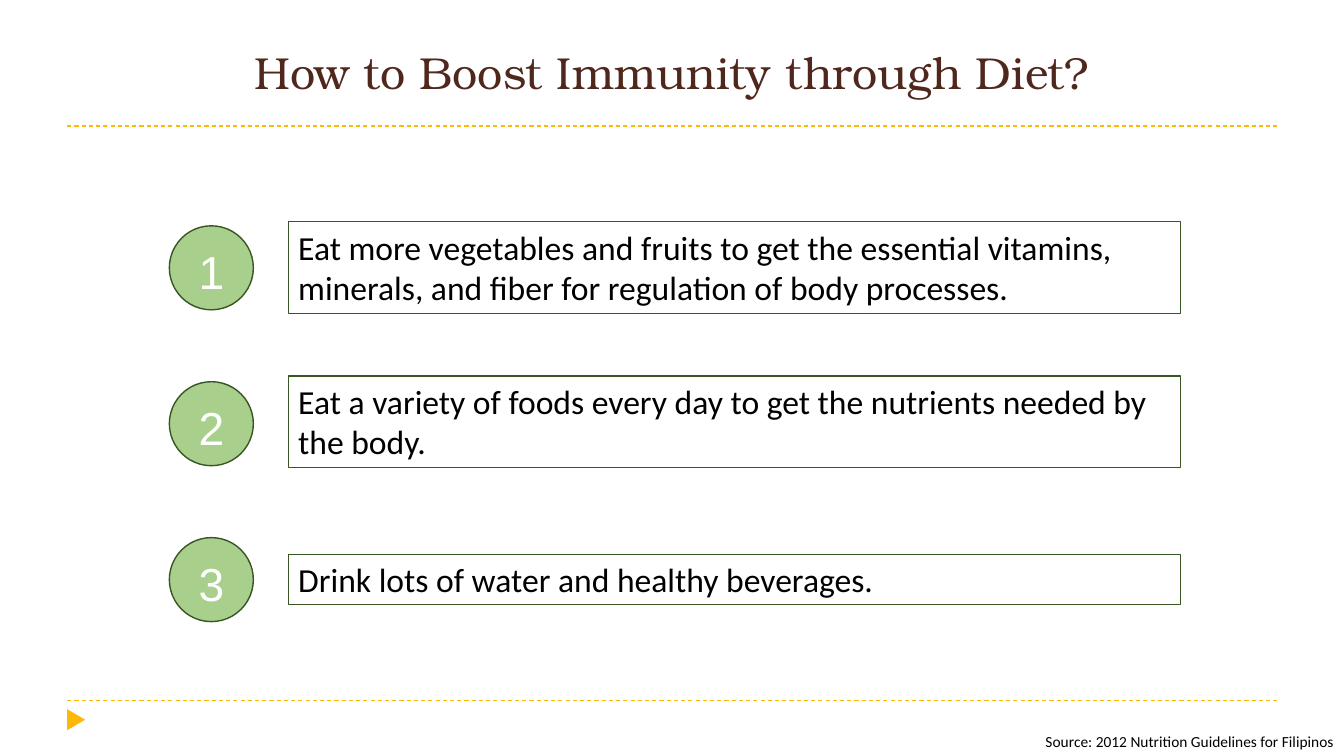
from pptx import Presentation
from pptx.dml.color import RGBColor
from pptx.enum.dml import MSO_LINE
from pptx.enum.shapes import MSO_CONNECTOR, MSO_SHAPE
from pptx.enum.text import MSO_ANCHOR, PP_ALIGN
from pptx.oxml.ns import qn
from pptx.util import Inches, Pt
from lxml import etree

AMBER = RGBColor(0xFE, 0xB8, 0x0A)
BROWN = RGBColor(0x4F, 0x27, 0x1C)
LEAF = RGBColor(0xA8, 0xD0, 0x8C)
FOREST = RGBColor(0x38, 0x56, 0x23)
WHITE = RGBColor(0xFF, 0xFF, 0xFF)
BLACK = RGBColor(0x00, 0x00, 0x00)

# The slide is a grid of square cells, each a third of an inch
COLUMNS, ROWS = 40, 22.5
CELL = Inches(1) / 3

TITLE = {"name": "TeX Gyre Bonum", "size": Pt(32), "color": BROWN}
NUMBER = {"name": "Arial", "size": Pt(33), "color": WHITE}
BODY = {"name": "Calibri", "size": Pt(24), "color": BLACK}
SOURCE = {"name": "Calibri", "size": Pt(11), "color": BLACK}

# Advice text, with the top row and height of its box
ADVICE = [
    ("Eat more vegetables and fruits to get the essential vitamins, "
     "minerals, and fiber for regulation of body processes.", 6.6, 2.73),
    ("Eat a variety of foods every day to get the nutrients needed by "
     "the body.", 11.19, 2.73),
    ("Drink lots of water and healthy beverages.", 16.5, 1.5),
]
CIRCLE_TOP, CIRCLE_STEP, CIRCLE_SIZE = 6.72, 4.64, 2.5


def grid(*cells):
    return [round(cell * CELL) for cell in cells]


class SlideBuilder:
    def __init__(self, presentation):
        self.slide = presentation.slides.add_slide(presentation.slide_layouts[6])
        self.shapes = self.slide.shapes

    def fill_text(self, shape, text, style, align, anchor=MSO_ANCHOR.TOP, inset=0.1):
        frame = shape.text_frame
        settings = {"word_wrap": True, "vertical_anchor": anchor,
                    "margin_left": Inches(inset), "margin_right": Inches(inset)}
        for name, value in settings.items():
            setattr(frame, name, value)
        paragraph = frame.paragraphs[0]
        paragraph.alignment = align
        run = paragraph.add_run()
        run.text = text
        for name, value in style.items():
            if name == "color":
                run.font.color.rgb = value
            else:
                setattr(run.font, name, value)

    def text(self, area, text, style, align, **layout):
        text_box = self.shapes.add_textbox(*grid(*area))
        self.fill_text(text_box, text, style, align, **layout)

    def shape(self, kind, area, fill, outline=None):
        shape = self.shapes.add_shape(kind, *grid(*area))
        shape.shadow.inherit = False
        shape.fill.solid()
        shape.fill.fore_color.rgb = fill
        if outline is None:
            shape.line.fill.background()
        else:
            shape.line.color.rgb = outline
            shape.line.width = Pt(1)
        return shape

    def rule(self, row):
        line = self.shapes.add_connector(
            MSO_CONNECTOR.STRAIGHT, *grid(2, row, COLUMNS - 2, row))
        line.line.color.rgb = AMBER
        line.line.width = Pt(0.75)
        line.line.dash_style = MSO_LINE.DASH
        etree.SubElement(line._element.spPr, qn("a:effectLst"))


def main():
    presentation = Presentation()
    presentation.slide_width, presentation.slide_height = grid(COLUMNS, ROWS)
    builder = SlideBuilder(presentation)

    # Dashed rules and corner marker
    for row in (20.85, 3.75):
        builder.rule(row)
    marker = builder.shape(MSO_SHAPE.ISOSCELES_TRIANGLE, (1.95, 21.15, 0.63, 0.54), AMBER)
    marker.rotation = 90

    # Title
    builder.text((2, 0.51, 36, 3.24), "How to Boost Immunity through Diet?", TITLE,
                 PP_ALIGN.CENTER, anchor=MSO_ANCHOR.MIDDLE, inset=0.05)

    # Numbered advice
    for index, (advice, top, height) in enumerate(ADVICE):
        circle_top = CIRCLE_TOP + index * CIRCLE_STEP
        circle = builder.shape(MSO_SHAPE.FLOWCHART_CONNECTOR,
                               (5.04, circle_top, CIRCLE_SIZE, CIRCLE_SIZE), LEAF, FOREST)
        builder.fill_text(circle, str(index + 1), NUMBER, PP_ALIGN.CENTER)
        box = builder.shape(MSO_SHAPE.RECTANGLE, (8.58, top, 26.55, height), WHITE, FOREST)
        builder.fill_text(box, advice, BODY, PP_ALIGN.LEFT)

    # Source line
    builder.text((20.7, 21.63, 19.3, 0.87),
                 "Source: 2012 Nutrition Guidelines for Filipinos", SOURCE, PP_ALIGN.RIGHT)

    presentation.save("out.pptx")


if __name__ == "__main__":
    main()
